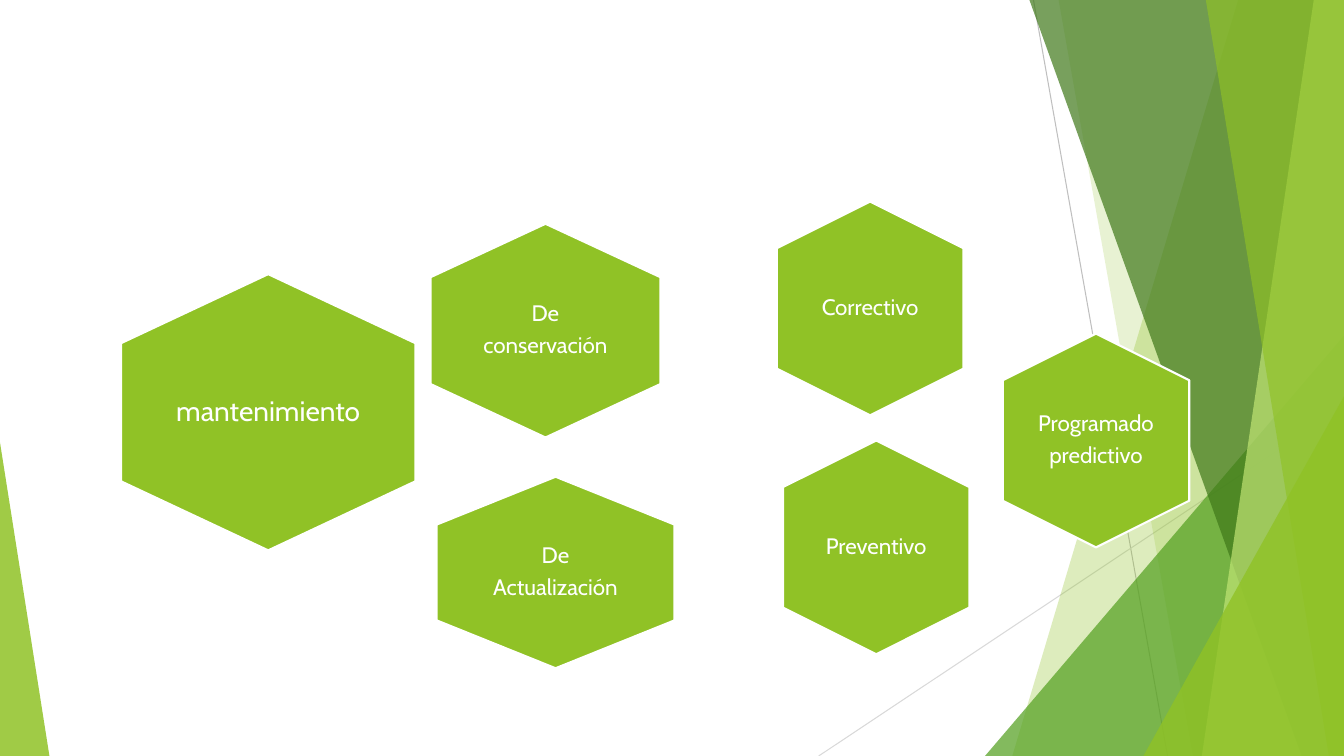
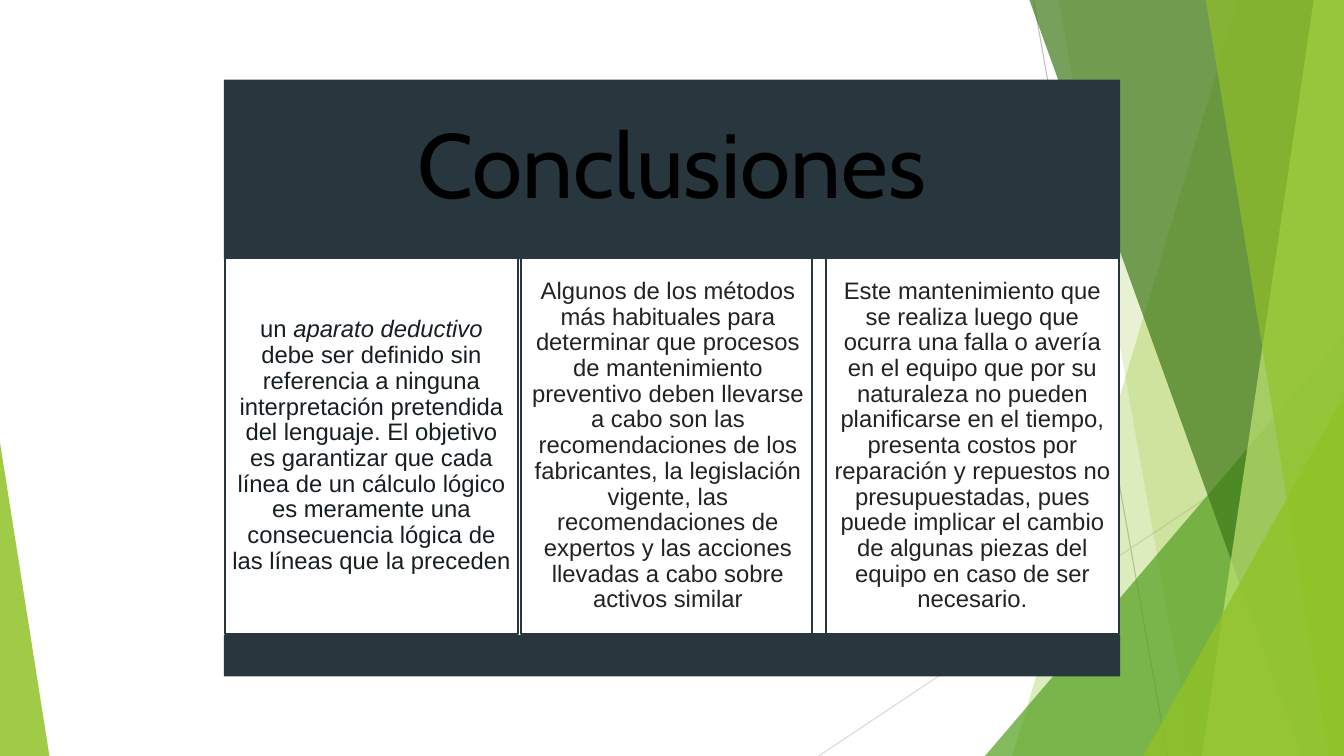
from lxml import etree
from pptx import Presentation
from pptx.dml.color import RGBColor
from pptx.enum.shapes import MSO_CONNECTOR, MSO_SHAPE
from pptx.enum.text import MSO_ANCHOR, PP_ALIGN
from pptx.oxml.ns import qn
from pptx.util import Inches, Pt

STRAIGHT = MSO_CONNECTOR.STRAIGHT
HEXAGON = MSO_SHAPE.HEXAGON
RECTANGLE = MSO_SHAPE.RECTANGLE
TRIANGLE = MSO_SHAPE.ISOSCELES_TRIANGLE
CENTER = PP_ALIGN.CENTER
MIDDLE = MSO_ANCHOR.MIDDLE

COLORS = {
    "lime": "90C226",
    "green": "54A021",
    "forest": "3F7819",
    "pale": "C0E474",
    "slate": "28363D",
    "ink": "161E22",
    "text": "222222",
    "white": "FFFFFF",
    "black": "000000",
    "gray": "BFBFBF",
    "light_gray": "D9D9D9",
}
WIDTH, HEIGHT = 13.33, 7.5


def paint(shape, fill, line=None, opacity=100):
    shape.shadow.inherit = False
    shape.fill.solid()
    shape.fill.fore_color.rgb = RGBColor.from_string(COLORS[fill])
    if opacity < 100:
        fill_color = shape.element.xpath("./p:spPr/a:solidFill/a:srgbClr")[0]
        etree.SubElement(fill_color, qn("a:alpha"), val=str(opacity * 1000))
    if line:
        shape.line.color.rgb = RGBColor.from_string(COLORS[line])
        shape.line.width = Pt(1.5)
    else:
        shape.line.fill.background()


def write(shape, paragraphs, font, size, color, inset=0):
    frame = shape.text_frame
    margin = Inches(inset)
    frame_format = {
        "word_wrap": True, "vertical_anchor": MIDDLE,
        "margin_left": margin, "margin_right": margin,
        "margin_top": margin, "margin_bottom": margin,
    }
    for name, value in frame_format.items():
        setattr(frame, name, value)
    paragraph_format = {"alignment": CENTER, "line_spacing": 0.9, "space_after": Pt(0.35 * size)}
    for index, runs in enumerate(paragraphs):
        paragraph = frame.add_paragraph() if index else frame.paragraphs[0]
        for name, value in paragraph_format.items():
            setattr(paragraph, name, value)
        for text, italic in runs:
            run = paragraph.add_run()
            run.text = text
            for name, value in {"name": font, "size": Pt(size), "italic": italic}.items():
                setattr(run.font, name, value)
            run.font.color.rgb = RGBColor.from_string(COLORS[color])


prs = Presentation()
prs.slide_width = Inches(WIDTH)
prs.slide_height = Inches(HEIGHT)
blank = prs.slide_layouts[6]
for placeholder in list(blank.placeholders):
    placeholder.element.getparent().remove(placeholder.element)

types_slide = prs.slides.add_slide(blank)
conclusions_slide = prs.slides.add_slide(blank)

facets = types_slide.shapes.add_group_shape()
for x1, y1, x2, y2, color in [
    (10.25, 0, 11.58, HEIGHT, "gray"),
    (WIDTH, 4.03, 8.12, HEIGHT, "light_gray"),
]:
    ray = facets.shapes.add_connector(STRAIGHT, Inches(x1), Inches(y1), Inches(x2), Inches(y2))
    ray.line.color.rgb = RGBColor.from_string(COLORS[color])
    ray.line.width = Pt(0.75)
    etree.SubElement(ray.element.spPr, qn("a:effectLst"))

for kind, geometry, color, opacity in [
    ("band", (12.28, 10.04), "lime", 30),
    ("band", (10.5, 11.83), "lime", 20),
    ("triangle", (9.77, 3.33, 3.56, 1), "green", 72),
    ("band", (10.21, 12.91), "forest", 70),
    ("band", (13.03, 11.92), "pale", 70),
    ("band", (11.96, 13.18), "lime", 65),
    ("triangle", (11.34, 3.93, 1.99, 1), "lime", 80),
    ("triangle", (0, 4.39, 0.49, 0), "lime", 85),
]:
    if kind == "band":
        top_x, bottom_x = geometry
        outline = facets.shapes.build_freeform(Inches(top_x), 0)
        corners = [(WIDTH, 0), (WIDTH, HEIGHT), (bottom_x, HEIGHT)]
        outline.add_line_segments([(Inches(x), Inches(y)) for x, y in corners])
        facet = outline.convert_to_shape()
    else:
        left, top, width, apex = geometry
        facet = facets.shapes.add_shape(
            TRIANGLE, Inches(left), Inches(top), Inches(width), Inches(HEIGHT - top))
        facet.adjustments[0] = apex
    paint(facet, color, opacity=opacity)

blank.shapes.element.append(facets.element)

for words, center_x, center_y, width, height, size in [
    (["Correctivo"], 8.63, 3.06, 1.85, 2.12, 16),
    (["mantenimiento"], 2.66, 4.09, 2.92, 2.74, 20),
    (["De", "conservación"], 5.41, 3.28, 2.28, 2.12, 16),
    (["Programado", "predictivo"], 10.87, 4.37, 1.85, 2.12, 16),
    (["Preventivo"], 8.69, 5.43, 1.85, 2.12, 16),
    (["De", "Actualización"], 5.51, 5.68, 2.36, 1.9, 16),
]:
    cell = types_slide.shapes.add_shape(
        HEXAGON, Inches(center_x - height / 2), Inches(center_y - width / 2),
        Inches(height), Inches(width))
    cell.rotation = 90
    paint(cell, "lime", "white")
    label_width, label_height = 0.68 * width, 0.68 * height
    label = types_slide.shapes.add_textbox(
        Inches(center_x - label_width / 2), Inches(center_y - label_height / 2),
        Inches(label_width), Inches(label_height))
    write(label, [[(word, False)] for word in words], "Cabin", size, "white")

header, footer = [
    conclusions_slide.shapes.add_shape(
        RECTANGLE, Inches(2.22), Inches(top), Inches(8.89), Inches(height))
    for top, height in [(0.79, 1.78), (6.3, 0.41)]
]
for bar in (header, footer):
    paint(bar, "slate")
write(header, [[("Conclusiones", False)]], "Cabin", 65, "black", 0.27)

for left, width, color, runs in [
    (2.23, 2.91, "ink", [
        ("un ", False),
        ("aparato deductivo", True),
        (" debe ser definido sin referencia a ninguna interpretación pretendida del "
         "lenguaje. El objetivo es garantizar que cada línea de un cálculo lógico es "
         "meramente una consecuencia lógica de las líneas que la preceden", False),
    ]),
    (5.17, 2.91, "text", [
        ("Algunos de los métodos más habituales para determinar que procesos de "
         "mantenimiento preventivo deben llevarse a cabo son las recomendaciones de los "
         "fabricantes, la legislación vigente, las recomendaciones de expertos y las "
         "acciones llevadas a cabo sobre activos similar", False),
    ]),
    (8.05, 0.14, "text", []),
    (8.19, 2.91, "text", [
        ("Este mantenimiento que se realiza luego que ocurra una falla o avería en el "
         "equipo que por su naturaleza no pueden planificarse en el tiempo, presenta "
         "costos por reparación y repuestos no presupuestadas, pues puede implicar el "
         "cambio de algunas piezas del equipo en caso de ser necesario.", False),
    ]),
]:
    column = conclusions_slide.shapes.add_shape(
        RECTANGLE, Inches(left), Inches(2.56), Inches(width), Inches(3.73))
    paint(column, "white", "slate")
    if runs:
        write(column, [runs], "Arial", 17, color, 0.07)

prs.save("out.pptx")
